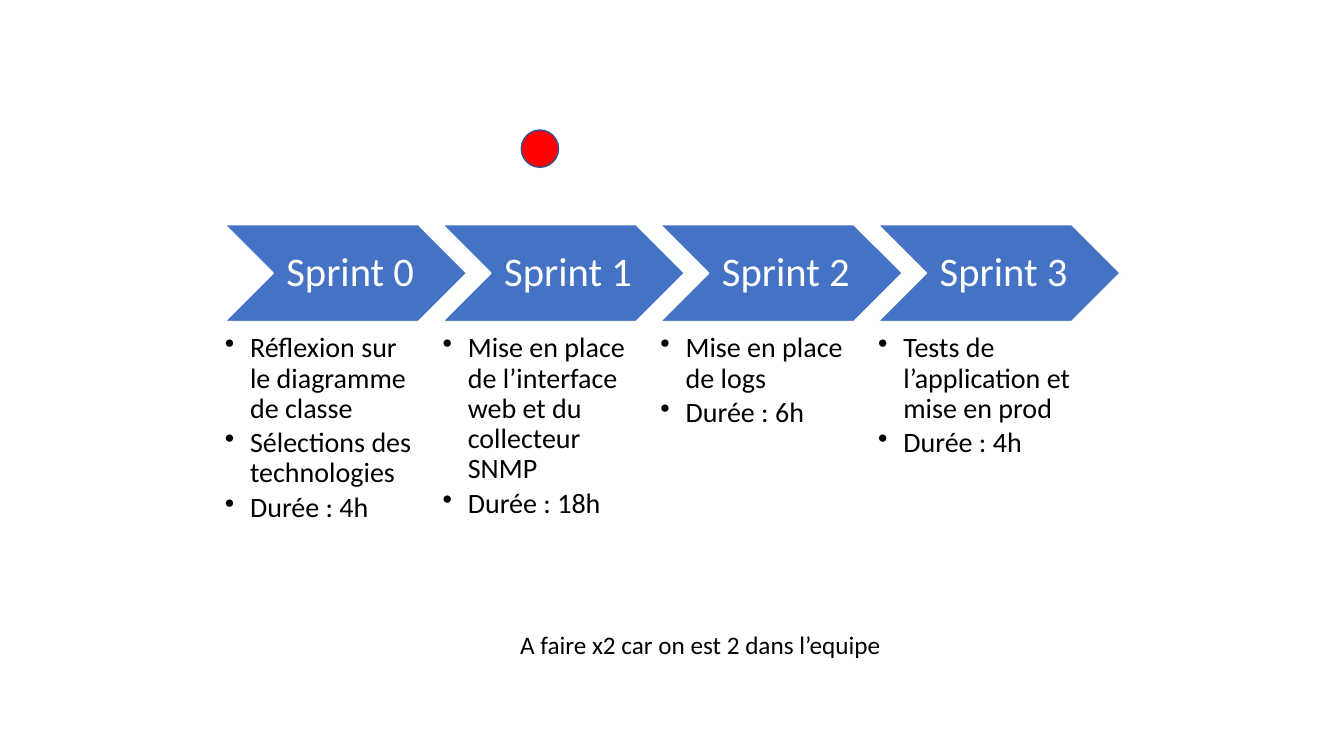
import pptx
import pptx.util
import pptx.dml.color
import pptx.enum.shapes
import pptx.enum.text
import pptx.oxml.ns
import lxml.etree

Inches = pptx.util.Inches
Pt = pptx.util.Pt
SHAPE = pptx.enum.shapes.MSO_SHAPE

COLORS = {
    "chevron": "4472C4",
    "white": "FFFFFF",
    "black": "000000",
    "marker": "FF0000",
    "marker_edge": "325491",
}

SPRINTS = [
    ("Sprint 0", ["Réflexion sur le diagramme de classe",
                  "Sélections des technologies", "Durée : 4h"]),
    ("Sprint 1", ["Mise en place de l’interface web et du collecteur SNMP",
                  "Durée : 18h"]),
    ("Sprint 2", ["Mise en place de logs", "Durée : 6h"]),
    ("Sprint 3", ["Tests de l’application et mise en prod", "Durée : 4h"]),
]


def add_filled_shape(kind, left, top, width, height, fill, line):
    shape = slide.shapes.add_shape(
        kind, Inches(left), Inches(top), Inches(width), Inches(height))
    shape.shadow.inherit = False
    shape.fill.solid()
    shape.fill.fore_color.rgb = pptx.dml.color.RGBColor.from_string(COLORS[fill])
    shape.line.color.rgb = pptx.dml.color.RGBColor.from_string(COLORS[line])
    shape.line.width = Pt(1)
    return shape


def format_text(paragraph, size, color):
    for run in paragraph.runs:
        run.font.name = "Calibri"
        run.font.size = Pt(size)
        run.font.color.rgb = pptx.dml.color.RGBColor.from_string(COLORS[color])


presentation = pptx.Presentation()
presentation.slide_width = Inches(13.33)
presentation.slide_height = Inches(7.5)
slide = presentation.slides.add_slide(presentation.slide_layouts[6])

# Sprint chevrons with their tasks below
first_left, step = 2.23, 2.16
for index, (sprint, tasks) in enumerate(SPRINTS):
    left = first_left + index * step

    chevron = add_filled_shape(SHAPE.CHEVRON, left, 2.23, 2.4, 0.96, "chevron", "white")
    label = chevron.text_frame
    label.text = sprint
    label.word_wrap = True
    label.vertical_anchor = pptx.enum.text.MSO_ANCHOR.MIDDLE
    label.margin_left = Inches(0.13)
    label.margin_top = label.margin_right = label.margin_bottom = Inches(0.04)
    label.paragraphs[0].alignment = pptx.enum.text.PP_ALIGN.CENTER
    label.paragraphs[0].line_spacing = 0.9
    format_text(label.paragraphs[0], 29, "white")

    task_list = slide.shapes.add_textbox(
        Inches(left), Inches(3.31), Inches(1.92), Inches(1.96)).text_frame
    task_list.text = "\n".join(tasks)
    task_list.word_wrap = True
    task_list.margin_left = task_list.margin_right = 0
    task_list.margin_top = task_list.margin_bottom = 0
    for task in task_list.paragraphs:
        task.level = 1
        task.line_spacing = 0.9
        task.space_after = Pt(3)
        format_text(task, 20, "black")
        properties = task._p.get_or_add_pPr()
        properties.set("marL", str(Inches(0.25)))
        properties.set("indent", str(Inches(-0.25)))
        bullet = lxml.etree.SubElement(properties, pptx.oxml.ns.qn("a:buChar"))
        bullet.set("char", "•")

# Progress marker
add_filled_shape(SHAPE.OVAL, 5.17, 1.29, 0.37, 0.37, "marker", "marker_edge")

# Team note
team_note = slide.shapes.add_textbox(
    Inches(5.06), Inches(6.19), Inches(3.85), Inches(0.4)).text_frame
team_note.text = "A faire x2 car on est 2 dans l’equipe"
team_note.word_wrap = True
team_note.auto_size = pptx.enum.text.MSO_AUTO_SIZE.SHAPE_TO_FIT_TEXT
format_text(team_note.paragraphs[0], 18, "black")

presentation.save("out.pptx")
